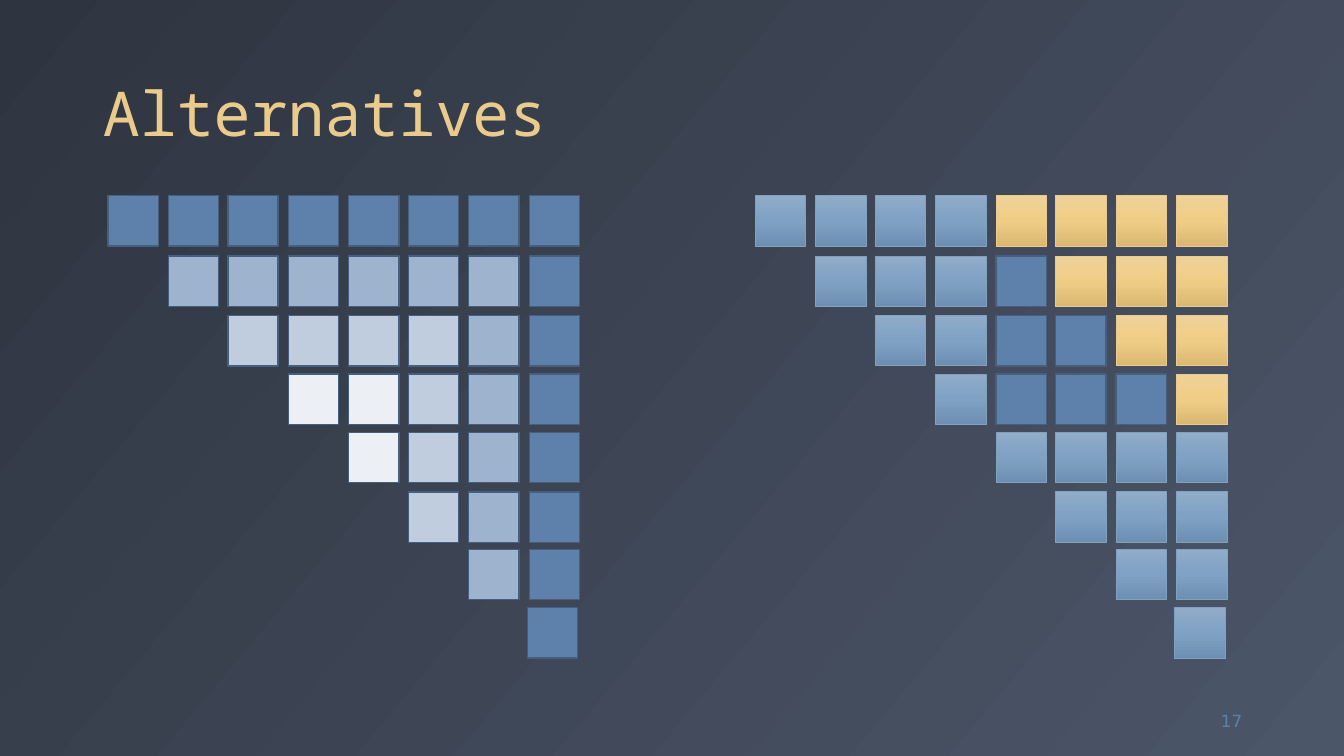
from copy import deepcopy
from dataclasses import dataclass

from pptx import Presentation
from pptx import util as u
from pptx.dml.color import RGBColor
from pptx.enum import shapes, text
from pptx.oxml.ns import qn

EMU_PER_PX = 9144  # 100 px to the inch


@dataclass(frozen=True)
class Theme:
    background = ("2E3440", "4C5669")
    blue_line = "465F7F"
    rings = ("5E81AC", "9EB3CD", "BFCDDE", "ECEFF3")  # outermost first
    sky = ("90ACC8", "7EA1C4", "6C8FB2")
    sky_line = "81A1C1"
    gold = ("EFD29A", "F0CD86", "DBB871")
    gold_line = "EBCB8B"
    title = {"name": "Noto Sans Mono", "size": u.Pt(44)}
    title_color = "EBCB8B"
    number = {"name": "DejaVu Sans", "size": u.Pt(12)}
    number_color = "5E81AC"


def px(*lengths):
    return [u.Emu(length * EMU_PER_PX) for length in lengths]


def set_all(target, values):
    for name, value in values.items():
        setattr(target, name, value)


def color_stops(fill, colors, angle):
    """Spread the colors evenly over the gradient; angle is clockwise."""
    fill.gradient_angle = -angle % 360
    for index, (stop, color) in enumerate(zip(fill.gradient_stops, colors)):
        stop.position = index / (len(colors) - 1)
        stop.color.rgb = RGBColor.from_string(color)


class SlideBuilder:
    def __init__(self, presentation, theme):
        self.theme = theme
        self.slide = presentation.slides.add_slide(presentation.slide_layouts[5])

    def background(self):
        fill = self.slide.background.fill
        fill.gradient()
        color_stops(fill, self.theme.background, 40)

    def put_text(self, shape, words, font, color, frame_format, paragraph_format):
        frame = shape.text_frame
        frame.text = words
        set_all(frame, frame_format)
        paragraph = frame.paragraphs[0]
        set_all(paragraph, paragraph_format)
        run_font = paragraph.runs[0].font
        set_all(run_font, font)
        run_font.color.rgb = RGBColor.from_string(color)

    def title(self, words, left, top, width, height):
        shape = self.slide.shapes.title
        box = zip(("left", "top", "width", "height"), px(left, top, width, height))
        set_all(shape, dict(box))
        self.put_text(shape, words, self.theme.title, self.theme.title_color,
                      {"vertical_anchor": text.MSO_ANCHOR.BOTTOM,
                       "auto_size": text.MSO_AUTO_SIZE.NONE, "word_wrap": True},
                      {"alignment": text.PP_ALIGN.LEFT, "line_spacing": 0.9})

    def page_number(self, words, left, top, width, height):
        shape = self.slide.shapes.add_textbox(*px(left, top, width, height))
        self.put_text(shape, words, self.theme.number, self.theme.number_color,
                      {"vertical_anchor": text.MSO_ANCHOR.MIDDLE, "word_wrap": True},
                      {"alignment": text.PP_ALIGN.RIGHT})

    def square(self, left, top, size, colors, line_color, line_width):
        """Fill with a plain color for one entry, a vertical gradient for three."""
        shape = self.slide.shapes.add_shape(
            shapes.MSO_SHAPE.RECTANGLE, *px(left, top, size, size))
        shape.shadow.inherit = False
        if len(colors) == 1:
            shape.fill.solid()
            shape.fill.fore_color.rgb = RGBColor.from_string(colors[0])
        else:
            shape.fill.gradient()
            stops = shape.element.spPr.find(qn("a:gradFill")).find(qn("a:gsLst"))
            stops.insert(1, deepcopy(stops[0]))
            color_stops(shape.fill, colors, 90)
        shape.line.color.rgb = RGBColor.from_string(line_color)
        shape.line.width = u.Pt(line_width)

    def triangle(self, left, cell_style):
        """Draw the upper triangle of the grid; cell_style maps row, column to a style."""
        for row, top in enumerate(ROW_TOPS):
            for column in range(row, COUNT):
                nudge = 2 if row == COUNT - 1 else 0
                cell_left = left + round(COLUMN_STEP * column) - nudge
                self.square(cell_left, top, CELL, *cell_style(row, column))


ROW_TOPS = (194, 254, 313, 371, 429, 488, 545, 603)
COUNT = len(ROW_TOPS)
HALF = COUNT // 2
COLUMN_STEP = 59.65
CELL = 50


def ring_style(row, column):
    ring = min(row, COUNT - 1 - column)
    return (Theme.rings[ring],), Theme.blue_line, 1


def block_style(row, column):
    """Gold and blue triangles fill the top right quadrant, sky the rest."""
    if row >= HALF or column < HALF:
        return Theme.sky, Theme.sky_line, 0.5
    if column - HALF >= row:
        return Theme.gold, Theme.gold_line, 0.5
    return (Theme.rings[0],), Theme.blue_line, 1


def main():
    presentation = Presentation()
    presentation.slide_width, presentation.slide_height = px(1333, 750)
    builder = SlideBuilder(presentation, Theme())
    builder.background()
    builder.title("Alternatives", 92, 18, 1150, 136)
    builder.page_number("17", 1159, 695, 83, 40)
    builder.triangle(107, ring_style)
    builder.triangle(749, block_style)
    presentation.save("out.pptx")


if __name__ == "__main__":
    main()
